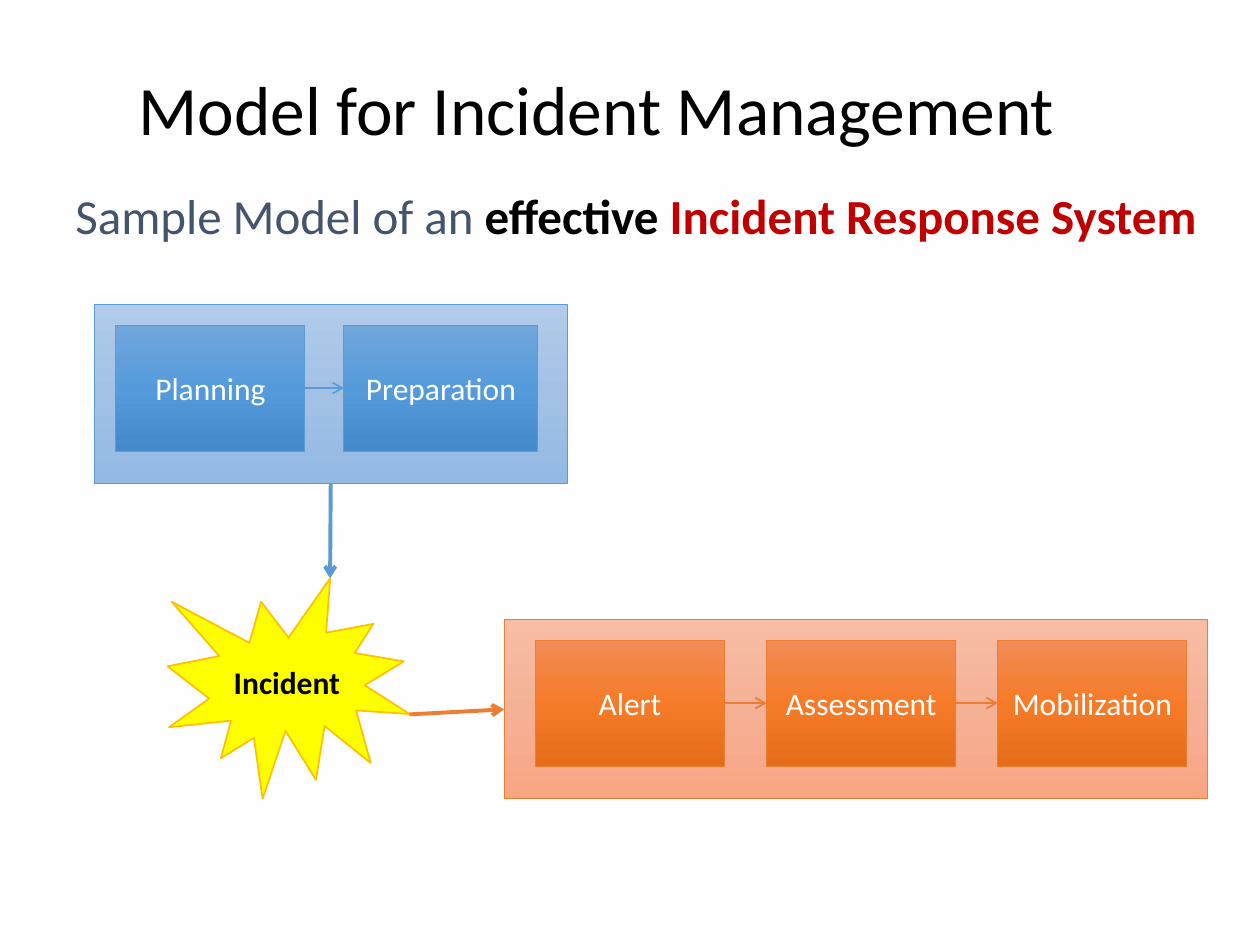
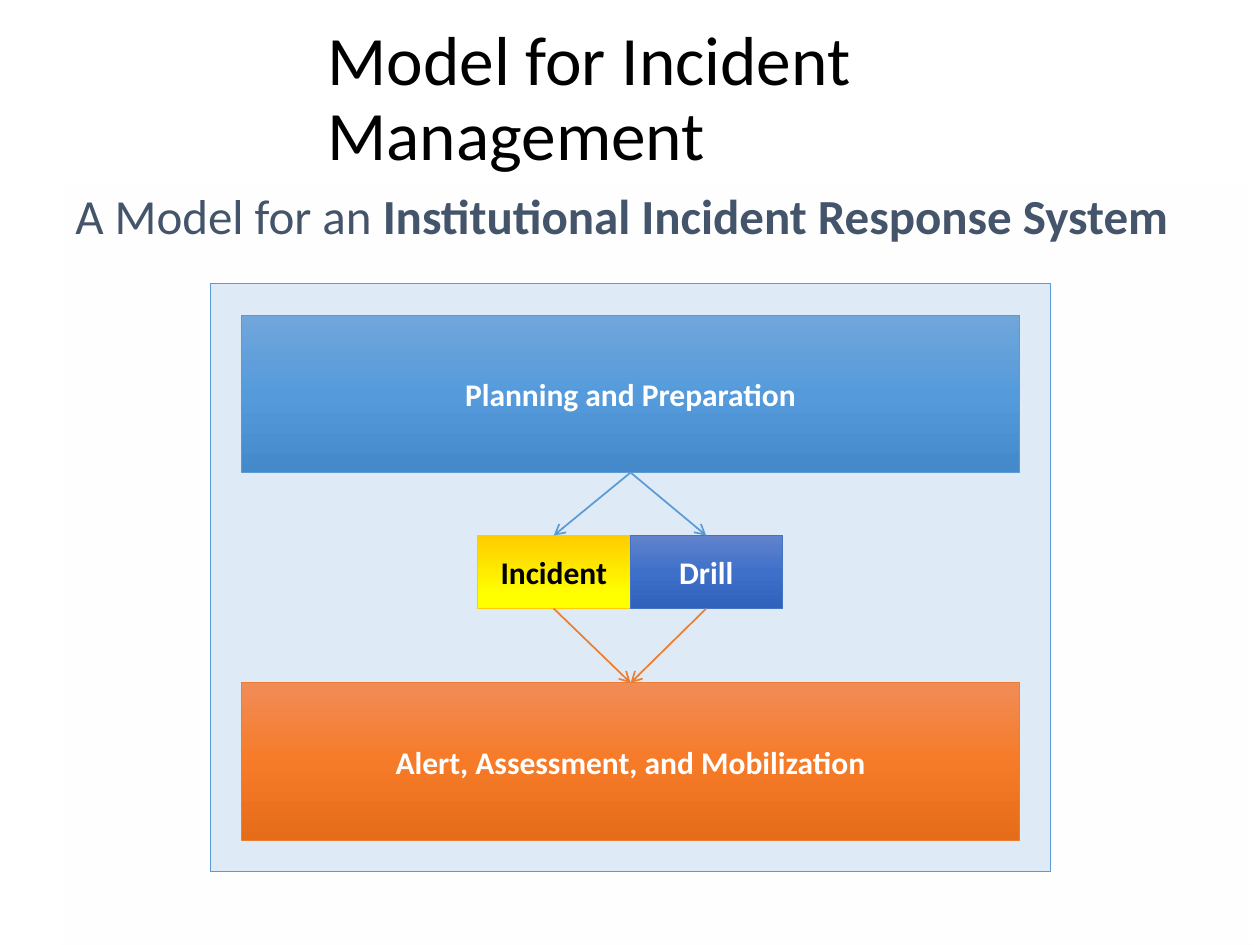
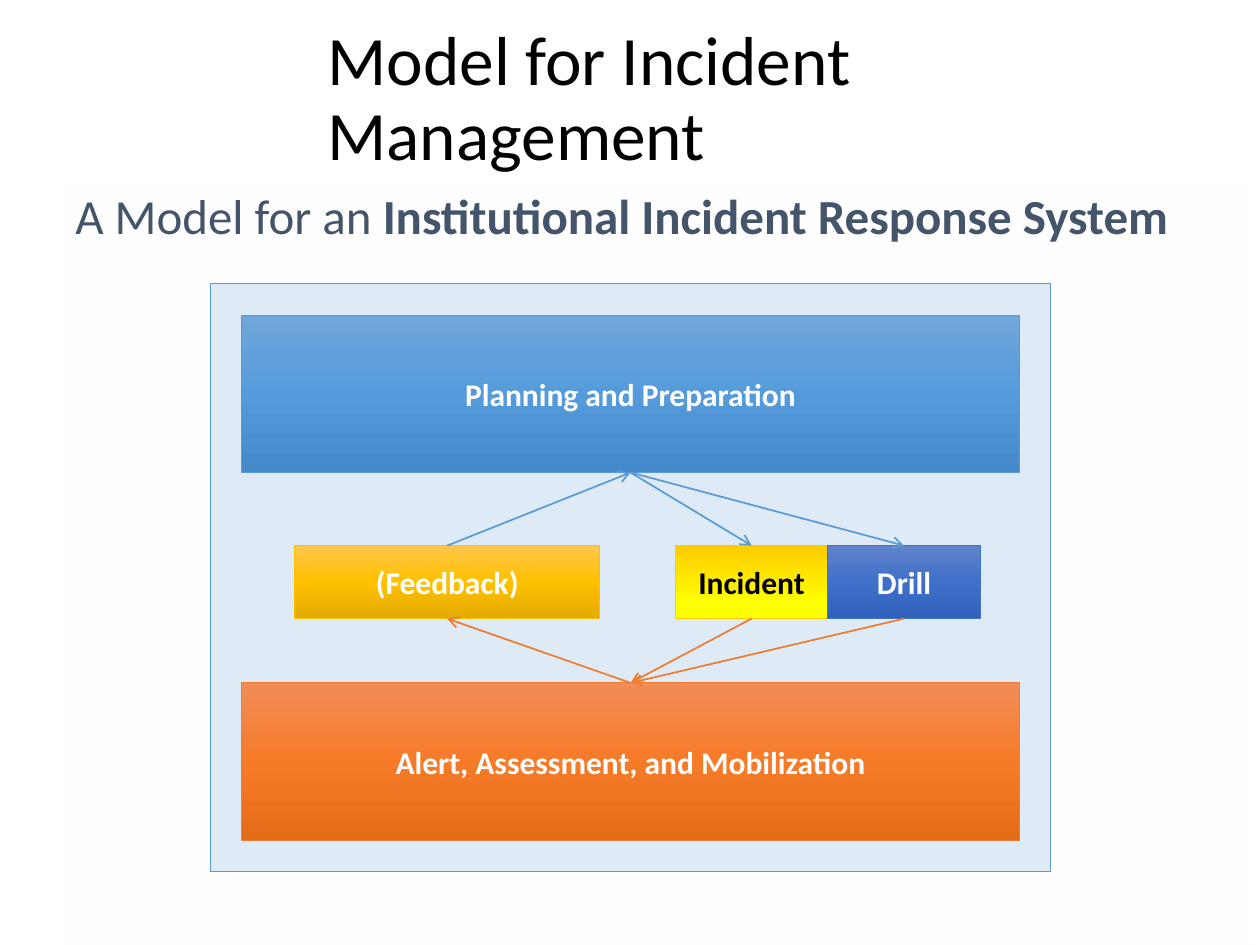
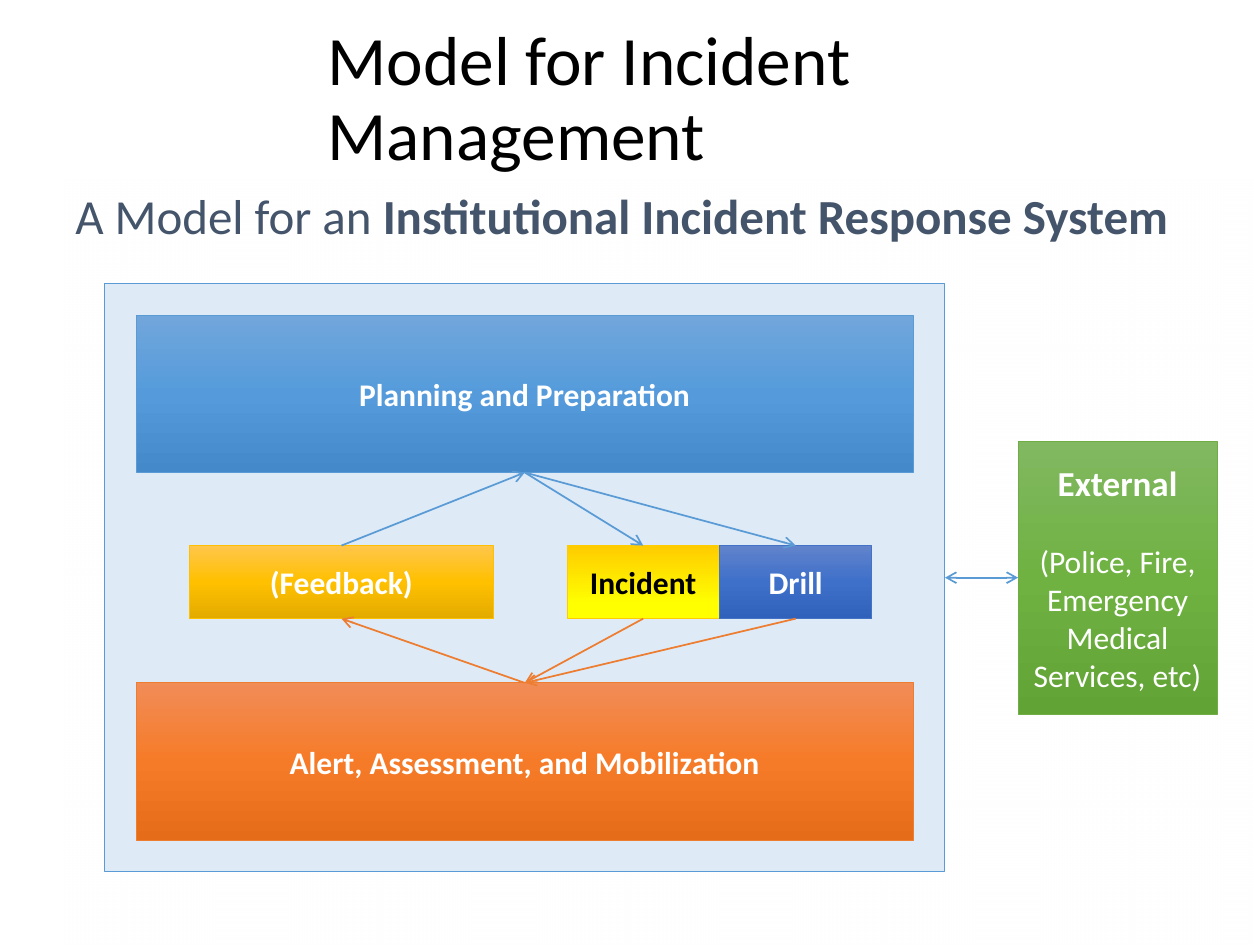
"""Build four slides that present a model for incident management."""
from copy import deepcopy

from lxml.etree import SubElement
from pptx import Presentation
from pptx.dml.color import RGBColor
from pptx.enum.shapes import MSO_CONNECTOR, MSO_SHAPE
from pptx.enum.text import MSO_ANCHOR, MSO_AUTO_SIZE, PP_ALIGN
from pptx.oxml.ns import qn
from pptx.util import Inches, Pt

FONT = "Calibri"
BLACK = RGBColor(0x00, 0x00, 0x00)
WHITE = RGBColor(0xFF, 0xFF, 0xFF)
SLATE = RGBColor(0x44, 0x54, 0x6A)
RED = RGBColor(0xC0, 0x00, 0x00)
BLUE = RGBColor(0x5B, 0x9B, 0xD5)
ORANGE = RGBColor(0xED, 0x7D, 0x31)
GREEN = RGBColor(0x70, 0xAD, 0x47)
INDIGO = RGBColor(0x44, 0x72, 0xC4)
GOLD = RGBColor(0xFF, 0xC0, 0x00)
AMBER = RGBColor(0xFF, 0xCC, 0x00)
YELLOW = RGBColor(0xFF, 0xFF, 0x00)
PALE_BLUE = RGBColor(0xDE, 0xEB, 0xF7)

BLUE_SHADES = (RGBColor(0x71, 0xA6, 0xDB), RGBColor(0x55, 0x9B, 0xDB), RGBColor(0x44, 0x8A, 0xCA))
LIGHT_BLUE_SHADES = (RGBColor(0xB1, 0xCB, 0xE9), RGBColor(0xA3, 0xC1, 0xE5), RGBColor(0x93, 0xB9, 0xE4))
ORANGE_SHADES = (RGBColor(0xF1, 0x8C, 0x57), RGBColor(0xF6, 0x7B, 0x28), RGBColor(0xE5, 0x6C, 0x19))
LIGHT_ORANGE_SHADES = (RGBColor(0xF7, 0xBD, 0xA5), RGBColor(0xF5, 0xB1, 0x96), RGBColor(0xF8, 0xA5, 0x82))
GREEN_SHADES = (RGBColor(0x81, 0xB8, 0x61), RGBColor(0x6F, 0xB2, 0x42), RGBColor(0x62, 0xA3, 0x36))
INDIGO_SHADES = (RGBColor(0x61, 0x83, 0xCB), RGBColor(0x3E, 0x70, 0xCA), RGBColor(0x30, 0x62, 0xBB))
GOLD_SHADES = (RGBColor(0xFF, 0xC6, 0x4B), GOLD, RGBColor(0xE3, 0xAB, 0x00))
YELLOW_SHADES = (AMBER, YELLOW, YELLOW)

TOP, LEFT, BOTTOM, RIGHT = range(4)
TITLE = "Model for Incident Management"
INSTITUTIONAL = (
    ("A Model for an ", SLATE, False),
    ("Institutional Incident Response System", SLATE, True),
)


def add_text(paragraph, text, size=18, color=WHITE, bold=False):
    """Append a formatted run to a paragraph."""
    run = paragraph.add_run()
    run.text = text
    run.font.name = FONT
    run.font.size = Pt(size)
    run.font.color.rgb = color
    run.font.bold = bold


def fill_gradient(shape, shades, middle=0.5, angle=270):
    """Fill a shape with a linear gradient of two or three shades."""
    shape.fill.gradient()
    shape.fill.gradient_angle = angle
    stop_list = shape._element.spPr.find(".//" + qn("a:gsLst"))
    positions = (0, 1)
    if len(shades) == 3:
        stop_list.append(deepcopy(stop_list[0]))
        positions = (0, middle, 1)
    for stop, shade, position in zip(shape.fill.gradient_stops, shades, positions):
        stop.color.rgb = shade
        stop.position = position
    return stop_list


def add_block(slide, place, fill, outline, label="", color=WHITE, bold=False,
              kind=MSO_SHAPE.RECTANGLE, outline_width=0.5, middle=0.5):
    """Add an outlined shape with a solid or gradient fill and a centred label."""
    block = slide.shapes.add_shape(kind, *map(Inches, place))
    block.shadow.inherit = False
    if isinstance(fill, RGBColor):
        block.fill.solid()
        block.fill.fore_color.rgb = fill
    else:
        fill_gradient(block, fill, middle)
    block.line.color.rgb = outline
    block.line.width = Pt(outline_width)
    block.text_frame.vertical_anchor = MSO_ANCHOR.MIDDLE
    if label:
        paragraph = block.text_frame.paragraphs[0]
        paragraph.alignment = PP_ALIGN.CENTER
        add_text(paragraph, label, color=color, bold=bold)
    return block


def add_arrow(slide, start, end, color, width=1, two_way=False):
    """Add an arrow between ends given as (block, side) or as x and y in inches."""
    arrow = slide.shapes.add_connector(MSO_CONNECTOR.STRAIGHT, 0, 0, 0, 0)
    if isinstance(start[0], float):
        arrow.begin_x, arrow.begin_y = map(Inches, start)
    else:
        arrow.begin_connect(*start)
    if isinstance(end[0], float):
        arrow.end_x, arrow.end_y = map(Inches, end)
    else:
        arrow.end_connect(*end)
    arrow.line.color.rgb = color
    arrow.line.width = Pt(width)
    properties = arrow._element.spPr
    line = properties.find(qn("a:ln"))
    for tip in ("a:headEnd", "a:tailEnd") if two_way else ("a:tailEnd",):
        SubElement(line, qn(tip), type="arrow")
    SubElement(properties, qn("a:effectLst"))


def add_heading_slide(deck, title_place, subtitle_parts):
    """Add a slide with its title and a subtitle on a fading white backdrop."""
    slide = deck.slides.add_slide(deck.slide_layouts[5])
    title = slide.shapes.title
    title.left, title.top, title.width, title.height = map(Inches, title_place)
    title.text_frame.auto_size = MSO_AUTO_SIZE.NONE
    title.text_frame.vertical_anchor = MSO_ANCHOR.MIDDLE
    heading = title.text_frame.paragraphs[0]
    heading.alignment = PP_ALIGN.LEFT
    heading.line_spacing = 0.9
    add_text(heading, TITLE, size=39.6, color=BLACK)

    backdrop = slide.shapes.add_shape(
        MSO_SHAPE.RECTANGLE, Inches(0.5), Inches(1.42), Inches(9.5), Inches(6.08))
    backdrop.shadow.inherit = False
    stops = fill_gradient(backdrop, (WHITE, WHITE), angle=0)
    SubElement(stops[-1][0], qn("a:alpha"), val="0")
    backdrop.line.fill.background()
    backdrop.text_frame.vertical_anchor = MSO_ANCHOR.TOP
    subtitle = backdrop.text_frame.paragraphs[0]
    subtitle.alignment = PP_ALIGN.LEFT
    for text, color, bold in subtitle_parts:
        add_text(subtitle, text, size=28, color=color, bold=bold)
    slide.shapes._spTree.insert(2, backdrop._element)
    return slide


def add_sample_slide(deck):
    """Show the sample model: preparation, incident and response."""
    slide = add_heading_slide(deck, (1, 0.27, 7.58, 1.25), (
        ("Sample Model of an ", SLATE, False),
        ("effective ", BLACK, True),
        ("Incident Response System", RED, True),
    ))
    before = add_block(slide, (0.75, 2.42, 3.75, 1.42), LIGHT_BLUE_SHADES, BLUE)
    planning = add_block(slide, (0.92, 2.58, 1.5, 1), BLUE_SHADES, BLUE, "Planning")
    preparation = add_block(slide, (2.73, 2.58, 1.54, 1), BLUE_SHADES, BLUE, "Preparation")
    add_arrow(slide, (planning, RIGHT), (preparation, LEFT), BLUE)

    add_block(slide, (1.33, 4.59, 1.92, 1.75), YELLOW, GOLD, "Incident", BLACK, True,
              kind=MSO_SHAPE.EXPLOSION1, outline_width=1)

    after = add_block(slide, (4, 4.92, 5.58, 1.42), LIGHT_ORANGE_SHADES, ORANGE)
    steps = [
        add_block(slide, (4.25 + 1.835 * i, 5.08, 1.5, 1), ORANGE_SHADES, ORANGE, step)
        for i, step in enumerate(("Alert", "Assessment", "Mobilization"))
    ]
    for step, following in zip(steps, steps[1:]):
        add_arrow(slide, (step, RIGHT), (following, LEFT), ORANGE)
    add_arrow(slide, (before, BOTTOM), (2.62, 4.59), BLUE, width=2.25)
    add_arrow(slide, (3.25, 5.67), (after, LEFT), ORANGE, width=2.25)


def add_institution_slide(deck, left, middle_top, incident_left, feedback=False):
    """Show the institutional model and return the slide and its panel."""
    slide = add_heading_slide(deck, (2.5, 0.17, 7, 1.25), INSTITUTIONAL)
    panel = add_block(slide, (left, 2.25, 6.67, 4.67), PALE_BLUE, BLUE)
    response = add_block(slide, (left + 0.25, 5.42, 6.17, 1.25), ORANGE_SHADES, ORANGE,
                         "Alert, Assessment, and Mobilization", bold=True)
    planning = add_block(slide, (left + 0.25, 2.5, 6.17, 1.25), BLUE_SHADES, BLUE,
                         "Planning and Preparation", bold=True)
    incident = add_block(slide, (incident_left, middle_top, 1.21, 0.58), YELLOW_SHADES,
                         AMBER, "Incident", BLACK, True, middle=0.8)
    drill = add_block(slide, (incident_left + 1.21, middle_top, 1.21, 0.58), INDIGO_SHADES,
                      INDIGO, "Drill", bold=True)
    for event in (incident, drill):
        add_arrow(slide, (planning, BOTTOM), (event, TOP), BLUE)
        add_arrow(slide, (event, BOTTOM), (response, TOP), ORANGE)
    if feedback:
        lessons = add_block(slide, (left + 0.67, middle_top, 2.42, 0.58), GOLD_SHADES,
                            GOLD, "(Feedback)", bold=True)
        add_arrow(slide, (response, TOP), (lessons, BOTTOM), ORANGE)
        add_arrow(slide, (lessons, TOP), (planning, BOTTOM), BLUE)
    return slide, panel


def add_external_services(slide, panel):
    """Add the external services and link them with the institution."""
    external = add_block(slide, (8.08, 3.5, 1.58, 2.17), GREEN_SHADES, GREEN)
    name = external.text_frame.paragraphs[0]
    examples = external.text_frame.add_paragraph()
    name.alignment = examples.alignment = PP_ALIGN.CENTER
    examples.space_before = Pt(22)
    add_text(name, "External", size=20, bold=True)
    add_text(examples, "(Police, Fire, Emergency Medical Services, etc)")
    add_arrow(slide, (external, LEFT), (panel, RIGHT), BLUE, two_way=True)


def main():
    """Build and save the deck."""
    deck = Presentation()
    deck.slide_width, deck.slide_height = Inches(10), Inches(7.5)
    add_sample_slide(deck)
    add_institution_slide(deck, 1.67, 4.25, 3.79)
    add_institution_slide(deck, 1.67, 4.33, 5.36, feedback=True)
    slide, panel = add_institution_slide(deck, 0.83, 4.33, 4.5, feedback=True)
    add_external_services(slide, panel)
    deck.save("out.pptx")


if __name__ == "__main__":
    main()
